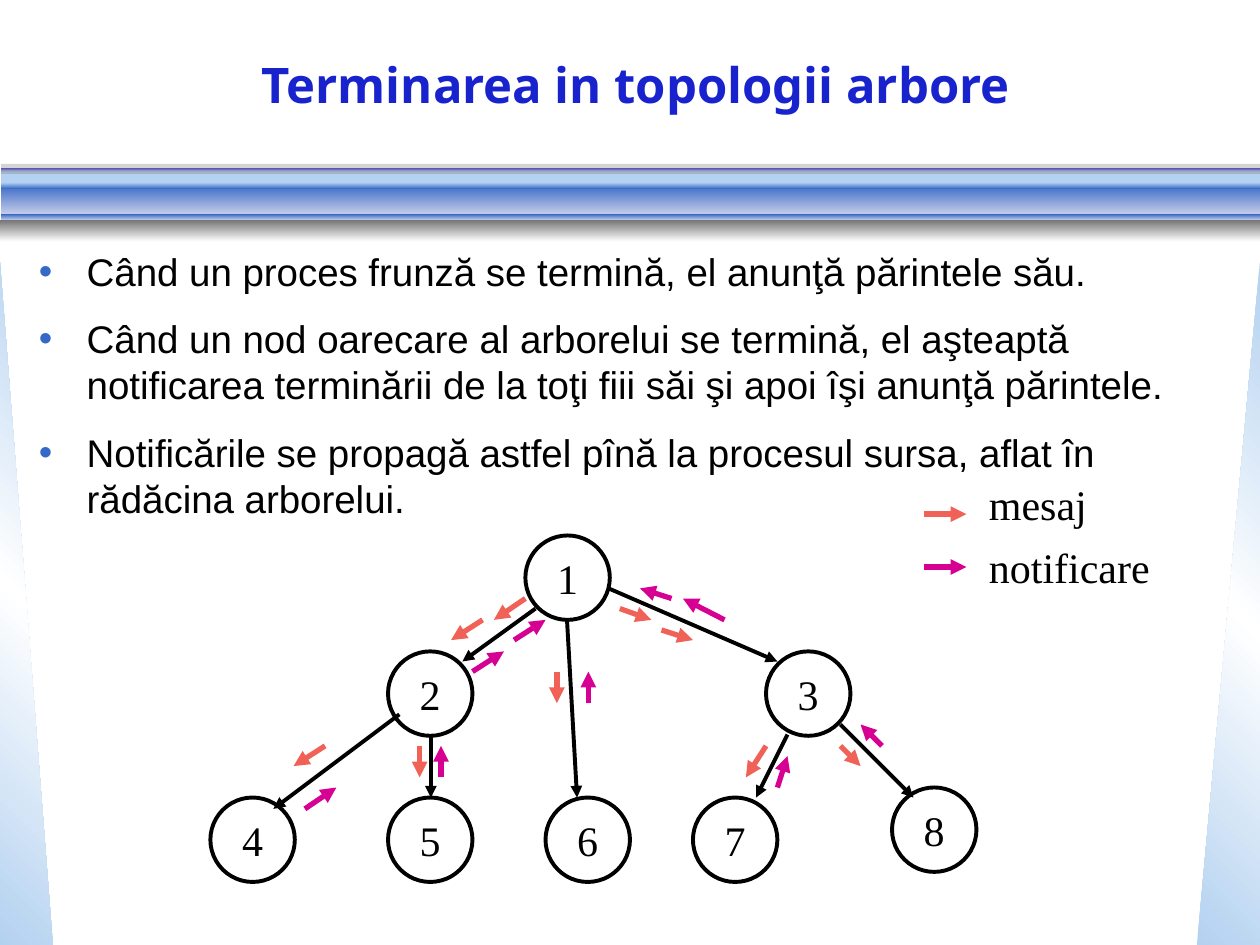
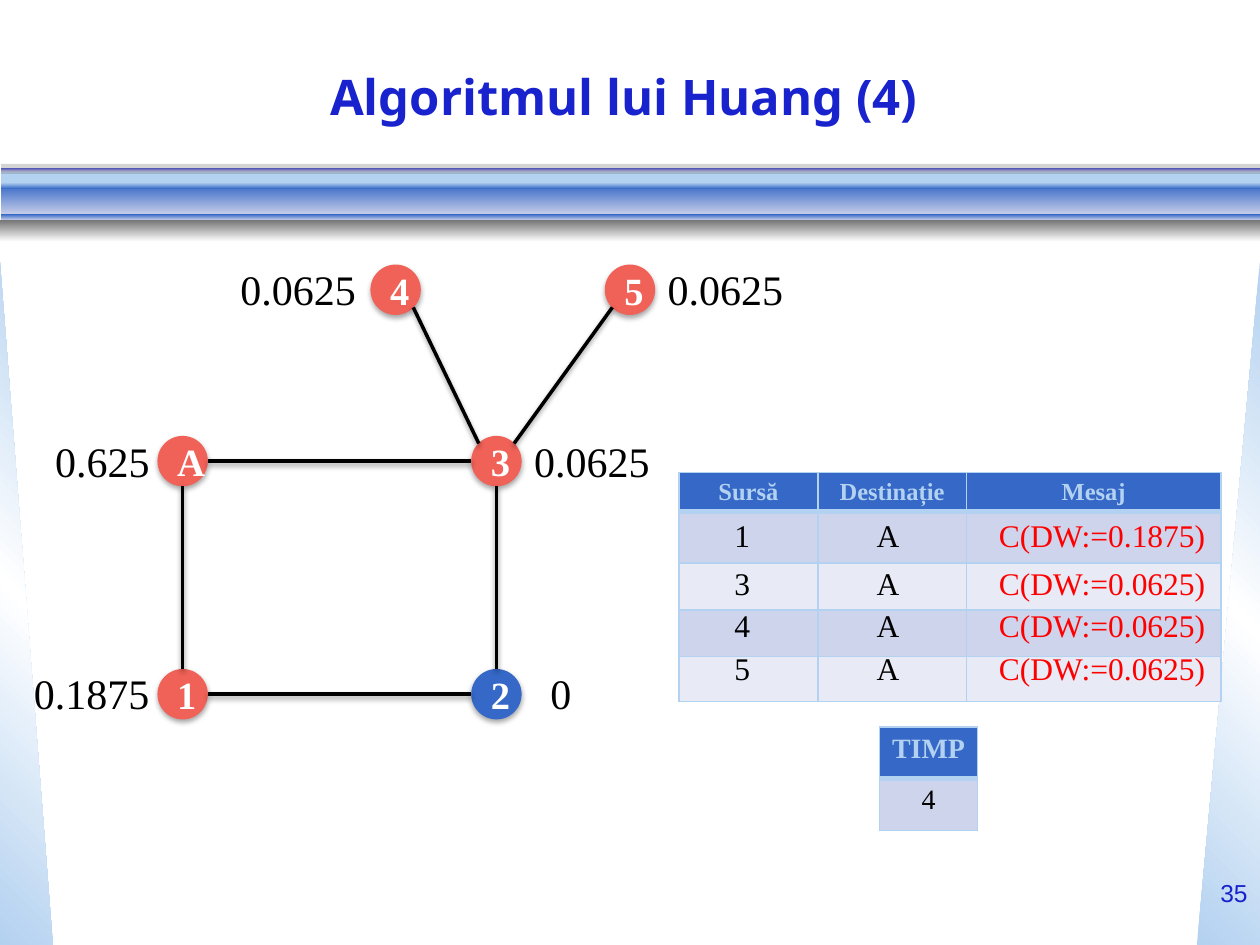
from typing import NamedTuple

from pptx import Presentation
from pptx.dml.color import RGBColor
from pptx.enum.shapes import MSO_CONNECTOR as Link, MSO_SHAPE as Kind
from pptx.enum.text import MSO_ANCHOR as Anchor, MSO_AUTO_SIZE as Fit, PP_ALIGN as Align
from pptx.oxml import parse_xml
from pptx.oxml.ns import nsdecls, qn
from pptx.util import Inches, Pt

BLACK = RGBColor(0x00, 0x00, 0x00)
WHITE = RGBColor(0xFF, 0xFF, 0xFF)
GRAY = RGBColor(0x77, 0x77, 0x77)
NAVY = RGBColor(0x18, 0x22, 0xCD)
BLUE = RGBColor(0x35, 0x68, 0xC7)
SKY = RGBColor(0xB3, 0xD1, 0xF0)
MIST = RGBColor(0xCA, 0xD0, 0xE9)
LILAC = RGBColor(0xBA, 0xBB, 0xE7)
CORAL = RGBColor(0xF0, 0x61, 0x57)
PINK = RGBColor(0xD6, 0x00, 0x93)
RED = RGBColor(0xFF, 0x00, 0x00)
DARK_ROW = RGBColor(0xCE, 0xD4, 0xEB)
LIGHT_ROW = RGBColor(0xE8, 0xEB, 0xF5)

SERIF, SANS, HEAD = "Times New Roman", "Arial", "Noto Sans"


class Box(NamedTuple):
    x: float
    y: float
    w: float
    h: float

    def emu(self) -> list:
        return [Inches(v) for v in self]


class Font(NamedTuple):
    size: float
    color: RGBColor = BLACK
    name: str = SERIF
    bold: bool = False


class Part(NamedTuple):
    """One piece of the backdrop; several colours make a gradient."""
    box: Box
    colors: tuple
    angle: int = 90
    kind: Kind = Kind.RECTANGLE
    flip: str = ""
    alpha: int = 100


class Node(NamedTuple):
    label: str
    x: float
    y: float
    color: RGBColor = CORAL


class Label(NamedTuple):
    text: str
    box: Box


class Edge(NamedTuple):
    x1: float
    y1: float
    x2: float
    y2: float


WEDGE = (SKY, WHITE, SKY)
BACKDROP = [
    Part(Box(0, 2.08, 0.42, 5.42), WEDGE, 315, Kind.RIGHT_TRIANGLE),
    Part(Box(9.5, 2.08, 0.5, 5.42), WEDGE, 45, Kind.RIGHT_TRIANGLE, "flipH"),
    Part(Box(0.01, 1.36, 9.99, 0.1), (SKY,), flip="flipV"),
    Part(Box(0.01, 1.46, 9.99, 0.25), (BLUE, MIST)),
    Part(Box(0.01, 1.33, 9.99, 0.03), (NAVY, LILAC)),
    Part(Box(0.01, 1.7, 9.99, 0.05), (MIST, BLUE), flip="flipV"),
    Part(Box(0.01, 1.45, 9.99, 0.05), (SKY, BLUE)),
    Part(Box(0, 1.75, 10, 0.17), (GRAY, WHITE)),
    Part(Box(0.01, 1.3, 9.99, 0.08), (GRAY,), alpha=31),
]

POINTS = [
    "Când un proces frunză se termină, el anunţă părintele său.",
    "Când un nod oarecare al arborelui se termină, el aşteaptă notificarea "
    "terminării de la toţi fiii săi şi apoi îşi anunţă părintele.",
    "Notificările se propagă astfel pînă la procesul sursa, aflat în rădăcina arborelui.",
]
TREE = [
    Node("1", 4.17, 4.25), Node("2", 3.08, 5.17), Node("3", 6.08, 5.17),
    Node("4", 1.67, 6.33), Node("5", 3.08, 6.33), Node("6", 4.33, 6.33),
    Node("7", 5.5, 6.33), Node("8", 7.08, 6.25),
]
BRANCHES = [
    Edge(4.25, 4.83, 3.67, 5.25), Edge(3.17, 5.67, 2.17, 6.42),
    Edge(3.42, 5.83, 3.42, 6.33), Edge(4.83, 4.67, 6.17, 5.25),
    Edge(6.25, 5.83, 6, 6.33), Edge(6.67, 5.75, 7.25, 6.33),
    Edge(4.5, 4.92, 4.58, 6.33),
]
SENT = [
    Edge(4.17, 4.75, 3.92, 4.92), Edge(3.83, 4.92, 3.58, 5.08),
    Edge(2.58, 5.92, 2.33, 6.08), Edge(4.92, 4.83, 5.17, 4.92),
    Edge(5.25, 5, 5.5, 5.08), Edge(3.33, 5.92, 3.33, 6.17),
    Edge(6.08, 5.92, 5.92, 6.17), Edge(6.67, 5.92, 6.83, 6.08),
    Edge(4.42, 5.33, 4.42, 5.58), Edge(7.33, 4.08, 7.67, 4.08),
]
NOTICES = [
    Edge(2.42, 6.42, 2.67, 6.25), Edge(3.5, 6.17, 3.5, 5.92),
    Edge(4.08, 5.08, 4.33, 4.92), Edge(4.67, 5.58, 4.67, 5.33),
    Edge(5.33, 4.75, 5.08, 4.67), Edge(7, 5.92, 6.83, 5.75),
    Edge(6.17, 6.25, 6.25, 6), Edge(7.33, 4.5, 7.67, 4.5),
    Edge(5.75, 4.92, 5.42, 4.75), Edge(3.75, 5.33, 4, 5.17),
]
LEGEND = [
    Label("mesaj", Box(7.75, 3.75, 1.42, 0.5)),
    Label("notificare", Box(7.75, 4.25, 1.5, 0.5)),
]

GRAPH = [
    Node("3", 3.74, 3.46), Node("1", 1.25, 5.31), Node("2", 3.74, 5.31, BLUE),
    Node("4", 2.94, 2.1), Node("5", 4.8, 2.1), Node("A", 1.25, 3.46),
]
LINKS = [
    Edge(1.65, 3.66, 3.74, 3.66), Edge(1.65, 5.51, 3.74, 5.51),
    Edge(1.45, 3.86, 1.45, 5.31), Edge(3.94, 3.86, 3.94, 5.31),
    Edge(3.28, 2.44, 3.8, 3.52), Edge(4.86, 2.44, 4.08, 3.52),
]
WEIGHTS = [
    Label("0.625", Box(0.34, 3.41, 0.96, 0.5)),
    Label("0.1875", Box(0.17, 5.25, 1.13, 0.5)),
    Label("0.0625", Box(4.14, 3.41, 1.13, 0.5)),
    Label("0", Box(4.27, 5.25, 0.37, 0.5)),
    Label("0.0625", Box(1.81, 2.04, 1.13, 0.5)),
    Label("0.0625", Box(5.2, 2.04, 1.13, 0.5)),
]
MAIL = [("1", "0.1875", 4.05), ("3", "0.0625", 4.43),
        ("4", "0.0625", 4.76), ("5", "0.0625", 5.1)]


def write(par, text: str, font: Font, align=Align.LEFT) -> None:
    par.alignment = align
    run = par.add_run()
    run.text = text
    face = run.font
    face.size, face.name, face.bold = Pt(font.size), font.name, font.bold
    face.color.rgb = font.color


def add_text(slide, label: Label, font: Font, align=Align.LEFT, wrap=False) -> None:
    frame = slide.shapes.add_textbox(*label.box.emu()).text_frame
    frame.word_wrap = wrap
    write(frame.paragraphs[0], label.text, font, align)


def add_title(slide, text: str, box: Box) -> None:
    title = slide.shapes.title
    title.left, title.top, title.width, title.height = box.emu()
    frame = title.text_frame
    frame.auto_size, frame.vertical_anchor = Fit.NONE, Anchor.MIDDLE
    write(frame.paragraphs[0], text, Font(28, NAVY, HEAD, True), Align.CENTER)


def set_glow(shape, alpha: int, dist: float) -> None:
    """Gives the shape a soft shadow below, or none when alpha is 0."""
    props = shape.element.spPr
    for old in props.findall(qn("a:effectLst")):
        props.remove(old)
    glow = (f'<a:outerShdw blurRad="{Pt(3.1)}" dist="{Pt(dist)}" dir="5400000" '
            f'rotWithShape="0"><a:srgbClr val="{BLACK}"><a:alpha val="{alpha * 1000}"/>'
            f'</a:srgbClr></a:outerShdw>') if alpha else ""
    props.append(parse_xml(f'<a:effectLst {nsdecls("a")}>{glow}</a:effectLst>'))


def set_blend(shape, colors: tuple, angle: int) -> None:
    """Fills the shape with evenly spaced gradient stops."""
    step = 100000 // (len(colors) - 1)
    stops = "".join(f'<a:gs pos="{i * step}"><a:srgbClr val="{c}"/></a:gs>'
                    for i, c in enumerate(colors))
    shape.fill.background()
    props = shape.element.spPr
    props.replace(props.find(qn("a:noFill")), parse_xml(
        f'<a:gradFill {nsdecls("a")} rotWithShape="1"><a:gsLst>{stops}</a:gsLst>'
        f'<a:lin ang="{angle * 60000}" scaled="0"/></a:gradFill>'))


def add_part(slide, part: Part):
    shape = slide.shapes.add_shape(part.kind, *part.box.emu())
    shape.shadow.inherit = False
    shape.line.fill.background()
    if len(part.colors) > 1:
        set_blend(shape, part.colors, part.angle)
    else:
        shape.fill.solid()
        shape.fill.fore_color.rgb = part.colors[0]
        if part.alpha < 100:
            tint = shape.element.spPr.find(qn("a:solidFill"))[0]
            tint.append(parse_xml(f'<a:alpha {nsdecls("a")} val="{part.alpha * 1000}"/>'))
    if part.flip:
        shape.element.spPr.find(qn("a:xfrm")).set(part.flip, "1")
    return shape


def add_node(slide, node: Node, size: float, font: Font, solid: bool) -> None:
    shape = slide.shapes.add_shape(Kind.OVAL, *Box(node.x, node.y, size, size).emu())
    if solid:
        shape.fill.solid()
        shape.fill.fore_color.rgb = node.color
        shape.line.fill.background()
        set_glow(shape, 35, 1.8)
    else:
        shape.fill.background()
        shape.line.color.rgb, shape.line.width = BLACK, Pt(2.25)
        shape.shadow.inherit = False
    frame = shape.text_frame
    frame.word_wrap, frame.vertical_anchor = solid, Anchor.MIDDLE
    write(frame.paragraphs[0], node.label, font, Align.CENTER)


def add_edge(slide, edge: Edge, color: RGBColor, width: float, arrow: bool) -> None:
    line = slide.shapes.add_connector(Link.STRAIGHT, *[Inches(v) for v in edge])
    line.line.color.rgb, line.line.width = color, Pt(width)
    if arrow:
        line.element.spPr.find(qn("a:ln")).append(
            parse_xml(f'<a:tailEnd {nsdecls("a")} type="triangle"/>'))
    set_glow(line, 0 if arrow else 38, 1.6)


def set_edges(cell, row: int) -> None:
    """Draws the cell borders, thick between the head and the first row."""
    thick = {0: "B", 1: "T"}.get(row)
    for side in "LRTB":
        cell._tc.get_or_add_tcPr().append(parse_xml(
            f'<a:ln{side} {nsdecls("a")} w="{Pt(3 if side == thick else 1)}">'
            f'<a:solidFill><a:srgbClr val="{SKY}"/></a:solidFill></a:ln{side}>'))


def add_grid(slide, x: float, y: float, cols: list, rows: list, texts: list,
             size: float, pad: float, anchor: Anchor) -> None:
    box = Box(x, y, sum(cols), sum(rows))
    table = slide.shapes.add_table(len(rows), len(cols), *box.emu()).table
    for col, width in zip(table.columns, cols):
        col.width = Inches(width)
    for r, height in enumerate(rows):
        table.rows[r].height = Inches(height)
        for c in range(len(cols)):
            cell = table.cell(r, c)
            cell.margin_top = cell.margin_bottom = Inches(pad)
            cell.vertical_anchor = anchor
            set_edges(cell, r)
            cell.fill.solid()
            cell.fill.fore_color.rgb = BLUE if r == 0 else DARK_ROW if r % 2 else LIGHT_ROW
            if r < len(texts):
                font = Font(size, BLACK if r else SKY, bold=r == 0)
                write(cell.text_frame.paragraphs[0], texts[r][c], font, Align.CENTER)


def add_points(slide) -> None:
    frame = slide.shapes.add_textbox(*Box(0.21, 1.92, 9.58, 2.67).emu()).text_frame
    frame.word_wrap = True
    for i, text in enumerate(POINTS):
        par = frame.add_paragraph() if i else frame.paragraphs[0]
        write(par, text, Font(22, BLACK, SANS))
        par.space_after = Pt(12)
        props = par._p.get_or_add_pPr()
        props.set("marL", str(Inches(0.38)))
        props.set("indent", str(Inches(-0.38)))
        props.append(parse_xml(
            f'<a:buClr {nsdecls("a")}><a:srgbClr val="{BLUE}"/></a:buClr>'))
        props.append(parse_xml(f'<a:buFont {nsdecls("a")} typeface="{SANS}"/>'))
        props.append(parse_xml(f'<a:buChar {nsdecls("a")} char="•"/>'))


def draw_tree(slide) -> None:
    add_title(slide, "Terminarea in topologii arbore", Box(0.17, 0.08, 9.75, 1.17))
    add_points(slide)
    for node in TREE:
        add_node(slide, node, 0.67, Font(24), False)
    for edges, color, width in ((BRANCHES, BLACK, 2.25), (SENT, CORAL, 3), (NOTICES, PINK, 3)):
        for edge in edges:
            add_edge(slide, edge, color, width, True)
    for label in LEGEND:
        add_text(slide, label, Font(24), wrap=True)


def draw_graph(slide) -> None:
    add_title(slide, "Algoritmul lui Huang (4) ", Box(0.5, 0.5, 9, 0.53))
    for node in GRAPH:
        add_node(slide, node, 0.4, Font(22, WHITE, bold=True), True)
    for edge in LINKS:
        add_edge(slide, edge, BLACK, 2, False)
    add_grid(slide, 5.39, 3.75, [1.1, 1.18, 2.02], [0.31, 0.41, 0.37, 0.37, 0.36],
             [("Sursă", "Destinație", "Mesaj")], 14, 0, Anchor.MIDDLE)
    for label in WEIGHTS:
        add_text(slide, label, Font(24))
    add_grid(slide, 6.98, 5.77, [0.78], [0.41, 0.41], [("TIMP",), ("4",)],
             16, 0.05, Anchor.TOP)
    for source, weight, y in MAIL:
        add_text(slide, Label(source, Box(5.73, y, 0.33, 0.4)), Font(18))
        add_text(slide, Label("A", Box(6.86, y, 0.38, 0.4)), Font(18))
        add_text(slide, Label(f"C(DW:={weight})", Box(7.83, y, 1.86, 0.4)), Font(18, RED))
    add_text(slide, Label("35", Box(9.5, 6.92, 0.5, 0.58)), Font(14, NAVY, SANS),
             Align.RIGHT, True)


def main() -> None:
    deck = Presentation()
    deck.slide_width, deck.slide_height = Inches(10), Inches(7.5)
    layout = deck.slide_layouts[5]
    tree, graph = [deck.slides.add_slide(layout) for _ in range(2)]
    for part in BACKDROP:
        layout.shapes.element.append(add_part(tree, part).element)
    draw_tree(tree)
    draw_graph(graph)
    deck.save("out.pptx")


if __name__ == "__main__":
    main()
